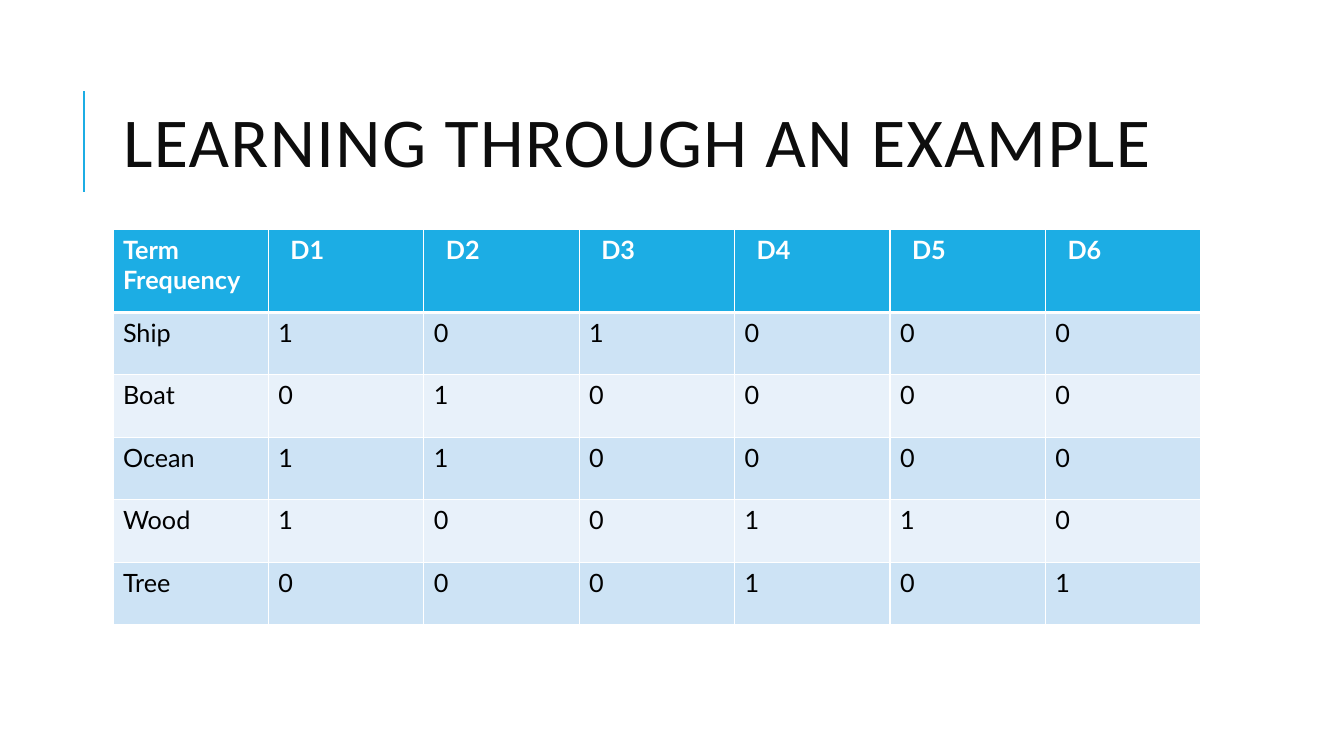
"""Build a slide with a term frequency table for six documents."""
from lxml import etree
from pptx import Presentation
from pptx.dml.color import RGBColor
from pptx.enum.shapes import MSO_CONNECTOR
from pptx.enum.text import MSO_ANCHOR, PP_ALIGN
from pptx.oxml.ns import qn
from pptx.util import Inches, Pt

STRAIGHT = MSO_CONNECTOR.STRAIGHT
MIDDLE = MSO_ANCHOR.MIDDLE
LEFT = PP_ALIGN.LEFT

ACCENT = RGBColor(0x1C, 0xAD, 0xE4)
BAND_DARK = RGBColor(0xCD, 0xE3, 0xF5)
BAND_LIGHT = RGBColor(0xE8, 0xF1, 0xFA)
TITLE_COLOR = RGBColor(0x0D, 0x0D, 0x0D)
BLACK = RGBColor(0, 0, 0)
WHITE = RGBColor(0xFF, 0xFF, 0xFF)

TITLE = "LEARNING THROUGH AN EXAMPLE"
ROWS = [
    ("Term Frequency", "D1", "D2", "D3", "D4", "D5", "D6"),
    ("Ship", 1, 0, 1, 0, 0, 0),
    ("Boat", 0, 1, 0, 0, 0, 0),
    ("Ocean", 1, 1, 0, 0, 0, 0),
    ("Wood", 1, 0, 0, 1, 1, 0),
    ("Tree", 0, 0, 0, 1, 0, 1),
]
CONTENT_LEFT = 1.12
TABLE_TOP, TABLE_WIDTH = 2.28, 10.79
HEADER_HEIGHT, ROW_HEIGHT = 0.82, 0.62
DOCUMENT_INDENT = 0.22


def style_run(run, font_name, size, color, bold=False):
    run.font.name = font_name
    run.font.size = Pt(size)
    run.font.color.rgb = color
    run.font.bold = bold


def add_borders(cell, widths):
    properties = cell._tc.get_or_add_tcPr()
    for position, (side, width) in enumerate(widths.items()):
        line = etree.Element(qn(f"a:ln{side}"), w=str(Pt(width)))
        fill = etree.SubElement(line, qn("a:solidFill"))
        etree.SubElement(fill, qn("a:srgbClr"), val=str(WHITE))
        properties.insert(position, line)


def add_title(slide):
    rule = slide.shapes.add_connector(
        STRAIGHT, Inches(0.83), Inches(1.9), Inches(0.83), Inches(0.9))
    rule.line.color.rgb = ACCENT
    rule.line.width = Pt(1.5)
    etree.SubElement(rule._element.spPr, qn("a:effectLst"))

    title = slide.shapes.title
    title.left, title.top = Inches(CONTENT_LEFT), Inches(0.64)
    title.width, title.height = Inches(10.63), Inches(1.64)
    title.text_frame.text = TITLE
    title.text_frame.word_wrap = True
    title.text_frame.vertical_anchor = MIDDLE
    paragraph = title.text_frame.paragraphs[0]
    paragraph.alignment = LEFT
    paragraph.line_spacing = 0.8
    run = paragraph.runs[0]
    style_run(run, "Calibri", 50, TITLE_COLOR)
    run._r.get_or_add_rPr().set("spc", "100")


def add_frequency_table(slide):
    height = HEADER_HEIGHT + ROW_HEIGHT * (len(ROWS) - 1)
    table = slide.shapes.add_table(
        len(ROWS), len(ROWS[0]), Inches(CONTENT_LEFT), Inches(TABLE_TOP),
        Inches(TABLE_WIDTH), Inches(height)).table
    for column in table.columns:
        column.width = Inches(TABLE_WIDTH / len(ROWS[0]))
    for row_index, values in enumerate(ROWS):
        header = row_index == 0
        table.rows[row_index].height = Inches(HEADER_HEIGHT if header else ROW_HEIGHT)
        band = BAND_DARK if row_index % 2 else BAND_LIGHT
        borders = {"L": 1, "R": 1, "T": 3 if row_index == 1 else 1, "B": 3 if header else 1}
        for column_index, value in enumerate(values):
            cell = table.cell(row_index, column_index)
            cell.text_frame.text = str(value)
            style_run(cell.text_frame.paragraphs[0].runs[0], "Lato", 18,
                      WHITE if header else BLACK, header)
            if header and column_index:
                cell.margin_left = Inches(DOCUMENT_INDENT)
            cell.fill.solid()
            cell.fill.fore_color.rgb = ACCENT if header else band
            add_borders(cell, borders)


presentation = Presentation()
presentation.slide_width = Inches(13.33)
presentation.slide_height = Inches(7.5)
slide = presentation.slides.add_slide(presentation.slide_layouts[5])
add_title(slide)
add_frequency_table(slide)
presentation.save("out.pptx")
